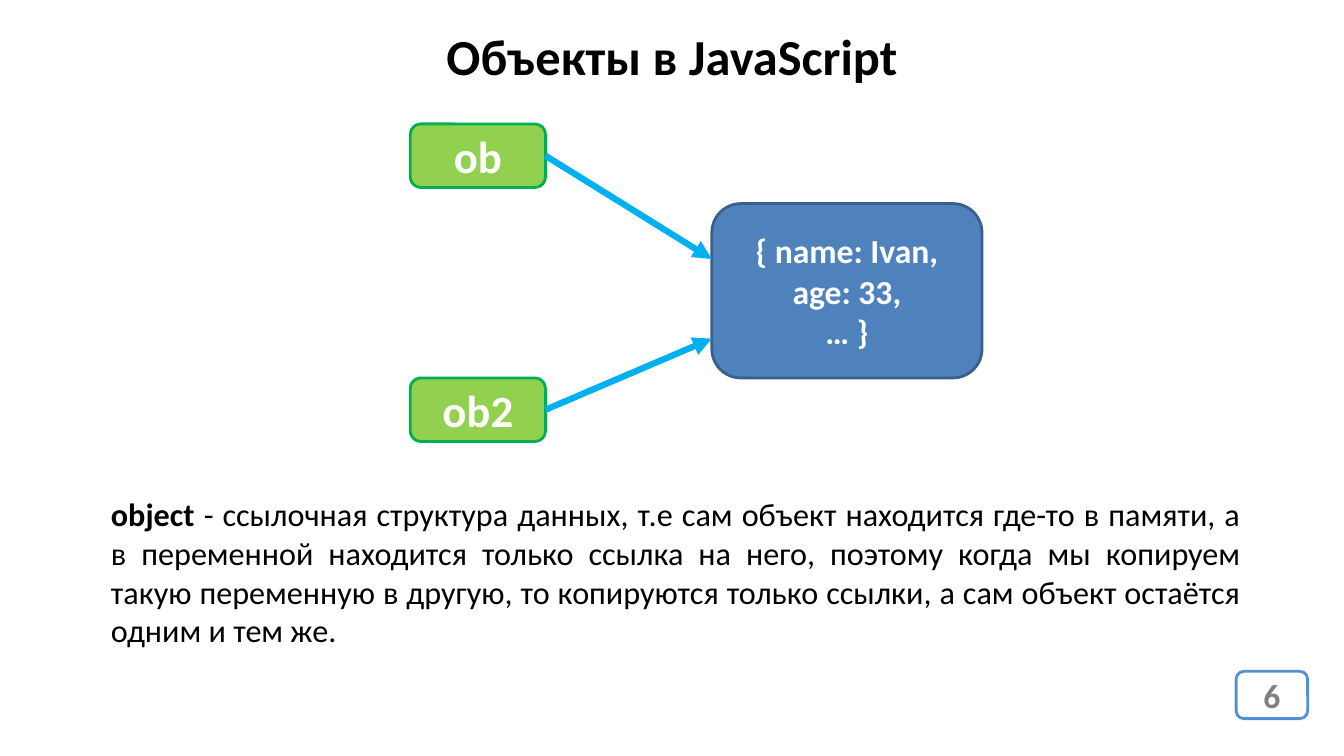
from dataclasses import dataclass

from lxml import etree
from pptx import Presentation
from pptx import util as u
from pptx.dml.color import RGBColor
from pptx.enum import shapes, text
from pptx.oxml import ns


@dataclass(frozen=True)
class Theme:
    font: str = "Calibri"
    black: str = "000000"
    white: str = "FFFFFF"
    grey: str = "808080"
    badge_line: str = "558ED5"
    object_fill: str = "4F81BD"
    object_line: str = "3A5F8C"
    variable_fill: str = "92D050"
    variable_line: str = "00B050"
    arrow: str = "00B0F0"
    title_size: float = 36
    variable_size: float = 32
    label_size: float = 24
    body_size: float = 23
    outline: float = 2
    arrow_width: float = 4.5


THEME = Theme()


def rgb(color):
    return RGBColor.from_string(color)


def style_span(span, size, color, bold=True):
    span.font.name = THEME.font
    span.font.size = u.Pt(size)
    span.font.bold = bold
    span.font.color.rgb = rgb(color)


def place(shape, box):
    shape.left, shape.top, shape.width, shape.height = (u.Inches(n) for n in box)


def prepare_frame(frame):
    frame.word_wrap = True
    frame.auto_size = text.MSO_AUTO_SIZE.NONE
    frame.vertical_anchor = text.MSO_ANCHOR.MIDDLE


def add_rounded_box(page, box, label, size, fill, line, color=THEME.white):
    shape = page.shapes.add_shape(
        shapes.MSO_SHAPE.ROUNDED_RECTANGLE, *(u.Inches(n) for n in box))
    shape.shadow.inherit = False
    shape.fill.solid()
    shape.fill.fore_color.rgb = rgb(fill)
    shape.line.color.rgb = rgb(line)
    shape.line.width = u.Pt(THEME.outline)
    prepare_frame(shape.text_frame)
    shape.text_frame.text = label
    for para in shape.text_frame.paragraphs:
        para.alignment = text.PP_ALIGN.CENTER
        style_span(para.runs[0], size, color)
    return shape


def add_arrow(page, start, end):
    arrow = page.shapes.add_connector(
        shapes.MSO_CONNECTOR.STRAIGHT, *(u.Inches(n) for n in (*start, *end)))
    arrow.line.color.rgb = rgb(THEME.arrow)
    arrow.line.width = u.Pt(THEME.arrow_width)
    etree.SubElement(arrow.line._get_or_add_ln(), ns.qn("a:tailEnd"), type="triangle")
    etree.SubElement(arrow._element.spPr, ns.qn("a:effectLst"))


def add_heading(page, box, heading):
    title = page.shapes.title
    place(title, box)
    prepare_frame(title.text_frame)
    title.text_frame.text = heading
    para = title.text_frame.paragraphs[0]
    para.alignment = text.PP_ALIGN.CENTER
    style_span(para.runs[0], THEME.title_size, THEME.black)


def add_reference_diagram(page, box):
    left, top, width, height = box
    variable_width, variable_height = 1.34, 0.63
    object_width, object_height = 2.68, 1.73
    object_left = left + width - object_width
    object_top = top + 0.79

    # Shared object
    add_rounded_box(page, (object_left, object_top, object_width, object_height),
                    "{ name: Ivan,\nage: 33,\n… }", THEME.label_size,
                    THEME.object_fill, THEME.object_line)

    # Variables, each with its reference to the object
    variables = (("ob", top, 0.55),
                 ("ob2", top + height - variable_height, 1.34))
    for name, variable_top, entry in variables:
        add_rounded_box(page, (left, variable_top, variable_width, variable_height),
                        name, THEME.variable_size,
                        THEME.variable_fill, THEME.variable_line)
        add_arrow(page, (left + variable_width, variable_top + variable_height / 2),
                  (object_left, object_top + entry))


def add_definition(page, box, term, meaning):
    body = page.placeholders[1]
    place(body, box)
    prepare_frame(body.text_frame)
    para = body.text_frame.paragraphs[0]
    para.alignment = text.PP_ALIGN.JUSTIFY
    para.space_before = u.Pt(0)
    for words, bold in ((term, True), (meaning, False)):
        span = para.add_run()
        span.text = words
        style_span(span, THEME.body_size, THEME.black, bold)
    # No bullet and no hanging indent
    props = para._p.get_or_add_pPr()
    props.set("marL", "0")
    props.set("indent", "0")
    etree.SubElement(props, ns.qn("a:buNone"))


def add_page_number(page, box, number):
    add_rounded_box(page, box, number, THEME.label_size,
                    THEME.white, THEME.badge_line, THEME.grey)


def main():
    deck = Presentation()
    deck.slide_width, deck.slide_height = u.Inches(13.33), u.Inches(7.5)
    page = deck.slides.add_slide(deck.slide_layouts[1])

    add_page_number(page, (12.26, 6.66, 0.71, 0.47), "6")
    add_definition(
        page, (1, 4.85, 11.42, 1.65), "object",
        " - ссылочная структура данных, т.е сам объект находится где-то в памяти, "
        "а в переменной находится только ссылка на него, поэтому когда мы копируем "
        "такую переменную в другую, то копируются только ссылки, а сам объект "
        "остаётся одним и тем же.")
    add_reference_diagram(page, (4.07, 1.23, 5.67, 3.15))
    add_heading(page, (0, 0.21, 13.33, 0.67), "Объекты в JavaScript")

    deck.save("out.pptx")


if __name__ == "__main__":
    main()
